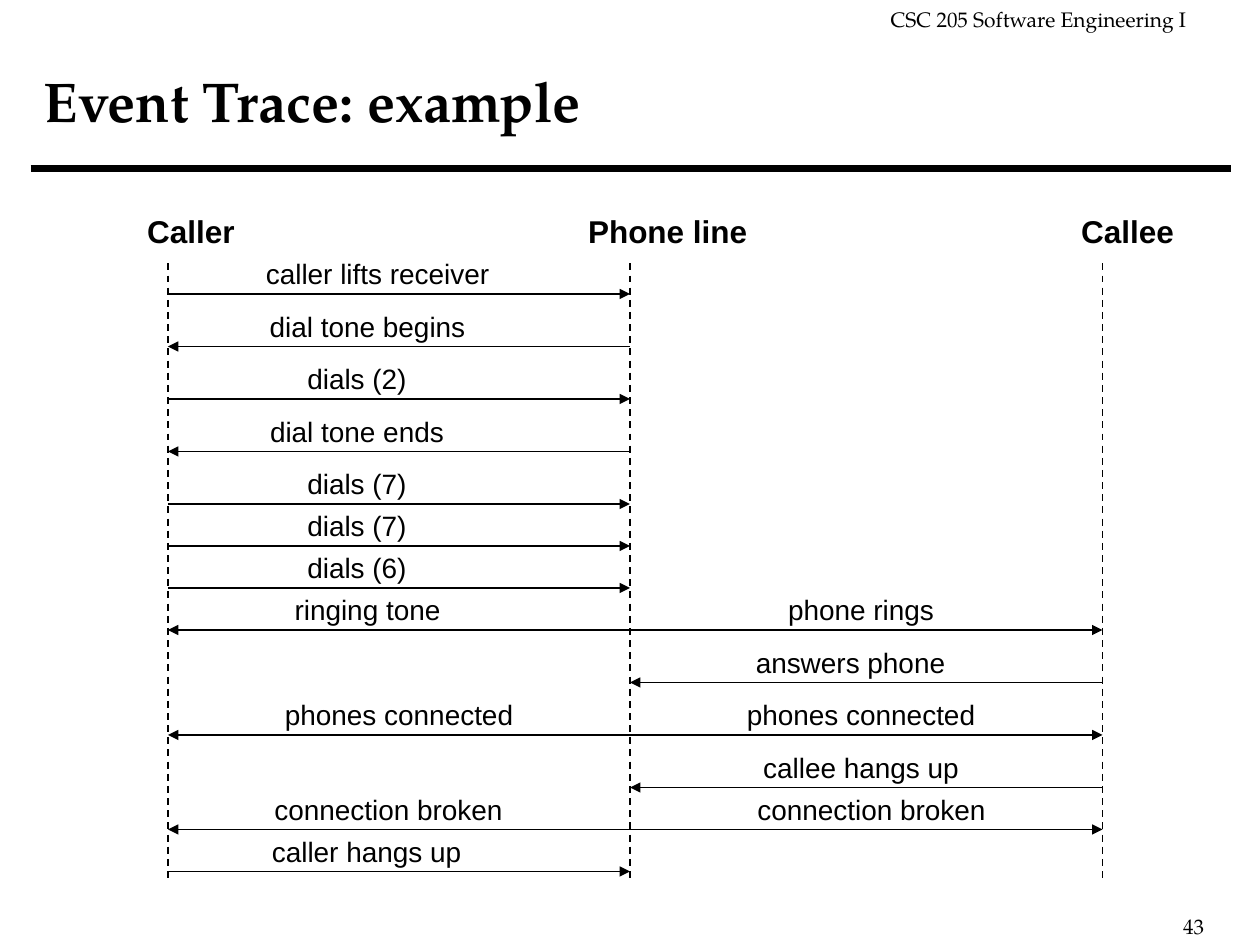
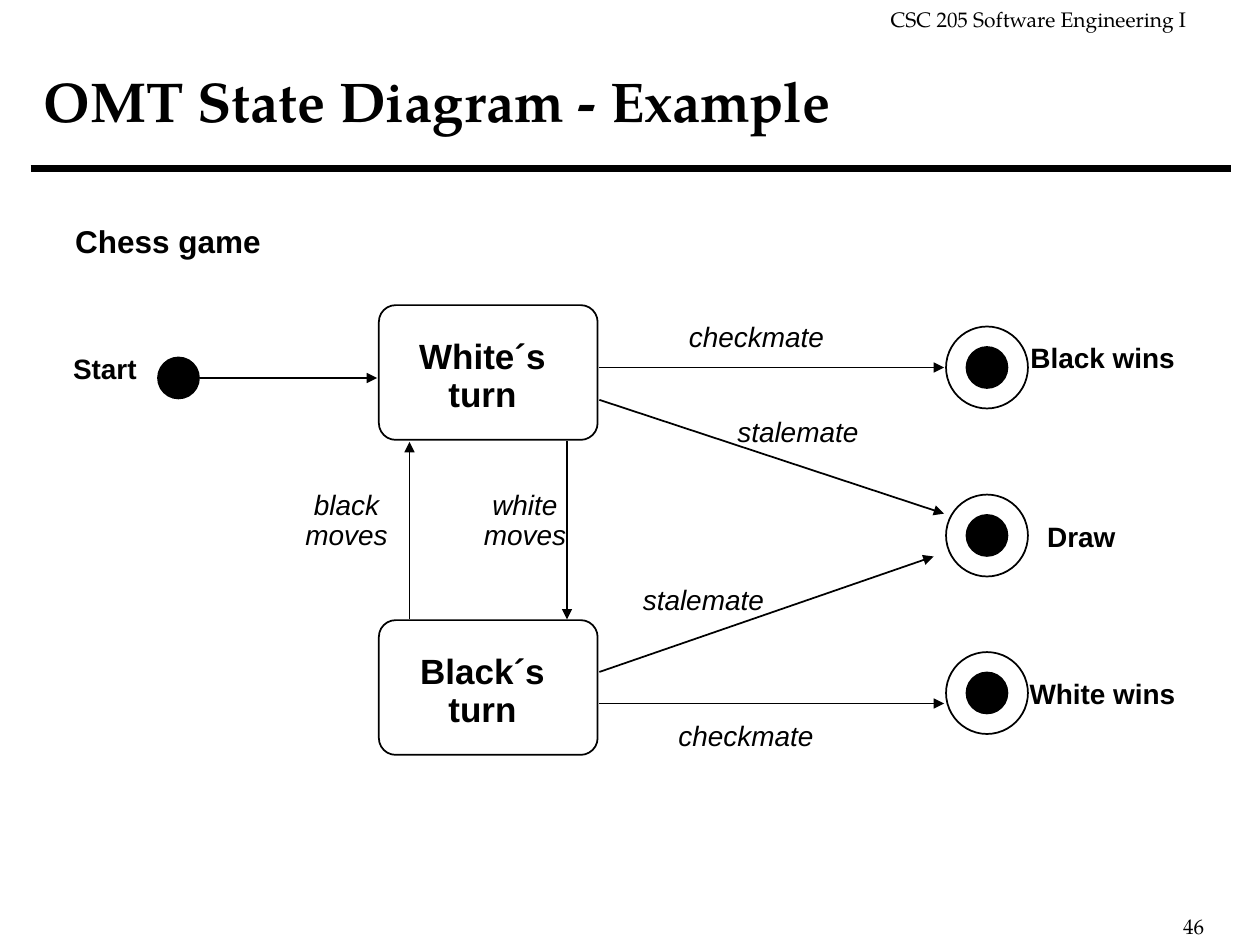
from typing import NamedTuple

from lxml import etree
from pptx import Presentation
from pptx.dml import color as dml_color
from pptx.enum import dml, shapes, text
from pptx.oxml import ns
from pptx.util import Pt

COLORS = {"ink": "000000", "paper": "FFFFFF"}
SERIF, SANS = "TeX Gyre Pagella", "Arial"
COURSE = "CSC 205 Software Engineering I"
SLACK = 8  # spare label width that keeps each line unbroken


class Label(NamedTuple):
    content: str
    left: float
    top: float
    width: float
    size: float = 16
    bold: bool = False
    italic: bool = False
    centered: bool = True
    font: str = SANS
    spacing: float = 0.9


class Arrow(NamedTuple):
    start: tuple[float, float]
    end: tuple[float, float]


class Message(NamedTuple):
    step: float  # distance below the preceding message
    content: str
    sender: str
    receiver: str
    center: float
    width: float


class FinalState(NamedTuple):
    y: float
    label: Label


def rgb(name: str) -> dml_color.RGBColor:
    return dml_color.RGBColor.from_string(COLORS[name])


def draw_label(slide, label: Label):
    lines = label.content.split("\n")
    height = 7.2 + len(lines) * label.size * 1.2 * label.spacing
    left = label.left - SLACK / 2 if label.centered else label.left
    box = slide.shapes.add_textbox(Pt(left), Pt(label.top), Pt(label.width + SLACK), Pt(height))
    frame = box.text_frame
    frame.text = label.content
    frame.word_wrap = False
    frame.auto_size = text.MSO_AUTO_SIZE.NONE
    for paragraph in frame.paragraphs:
        paragraph.alignment = text.PP_ALIGN.CENTER if label.centered else text.PP_ALIGN.LEFT
        paragraph.line_spacing = label.spacing
        font = paragraph.font
        font.name, font.size = label.font, Pt(label.size)
        font.bold, font.italic = label.bold, label.italic
        font.color.rgb = rgb("ink")
    return box


def draw_line(slide, start: tuple[float, float], end: tuple[float, float], width: float = 1,
              dashed: bool = False, arrowhead: bool = False) -> None:
    connector = slide.shapes.add_connector(
        shapes.MSO_CONNECTOR.STRAIGHT, *(Pt(value) for value in start + end))
    line = connector.line
    line.color.rgb = rgb("ink")
    line.width = Pt(width)
    if dashed:
        line.dash_style = dml.MSO_LINE.DASH
    properties = connector._element.spPr
    if arrowhead:
        etree.SubElement(properties.find(ns.qn("a:ln")), ns.qn("a:tailEnd"), type="triangle")
    etree.SubElement(properties, ns.qn("a:effectLst"))


def draw_shape(slide, kind, left: float, top: float, width: float, height: float,
               filled: bool = False):
    shape = slide.shapes.add_shape(kind, Pt(left), Pt(top), Pt(width), Pt(height))
    shape.shadow.inherit = False
    shape.line.color.rgb = rgb("ink")
    shape.line.width = Pt(1)
    if filled:
        shape.fill.solid()
        shape.fill.fore_color.rgb = rgb("ink")
    else:
        shape.fill.background()
    return shape


def draw_circle(slide, x: float, y: float, diameter: float, filled: bool = False) -> None:
    draw_shape(slide, shapes.MSO_SHAPE.OVAL, x - diameter / 2, y - diameter / 2,
               diameter, diameter, filled)


def add_slide(presentation, title: str, number: int):
    """Add a slide with the course header, page number, rule and title."""
    slide = presentation.slides.add_slide(presentation.slide_layouts[6])
    header = draw_label(slide, Label(COURSE, 501.8, 0, 183.6, 12, centered=False,
                                     font=SERIF, spacing=1))
    header.fill.solid()
    header.fill.fore_color.rgb = rgb("paper")
    draw_label(slide, Label(str(number), 669, 518.4, 30, 12, centered=False,
                            font=SERIF, spacing=1))
    draw_line(slide, (17.5, 96.2), (703.5, 96.2), width=4)
    heading = draw_label(slide, Label(title, 18, 12, 682, 32, bold=True, centered=False,
                                      font=SERIF, spacing=1))
    heading.height = Pt(90)
    heading.text_frame.word_wrap = True
    heading.text_frame.vertical_anchor = text.MSO_ANCHOR.MIDDLE
    return slide


# Event trace
LIFELINES = {"Caller": 96, "Phone line": 360, "Callee": 630}
HEADINGS = [
    Label("Caller", 77, 120, 64, 18, bold=True, centered=False),
    Label("Phone line", 329, 120, 105, 18, bold=True, centered=False),
    Label("Callee", 610.7, 120, 67.5, 18, bold=True, centered=False),
]
FIRST_MESSAGE_Y = 168
MESSAGES = [
    Message(0, "caller lifts receiver", "Caller", "Phone line", 215.8, 142),
    Message(30, "dial tone begins", "Phone line", "Caller", 210, 126),
    Message(30, "dials (2)", "Caller", "Phone line", 204, 71),
    Message(30, "dial tone ends", "Phone line", "Caller", 204, 114),
    Message(30, "dials (7)", "Caller", "Phone line", 204, 71),
    Message(24, "dials (7)", "Caller", "Phone line", 204, 71),
    Message(24, "dials (6)", "Caller", "Phone line", 204, 71),
    Message(24, "ringing tone", "Phone line", "Caller", 210, 98),
    Message(0, "phone rings", "Phone line", "Callee", 492, 98),
    Message(30, "answers phone", "Callee", "Phone line", 486, 122),
    Message(30, "phones connected", "Phone line", "Caller", 228, 145),
    Message(0, "phones connected", "Phone line", "Callee", 492, 145),
    Message(30, "callee hangs up", "Callee", "Phone line", 492, 126),
    Message(24, "connection broken", "Phone line", "Caller", 222, 145),
    Message(0, "connection broken", "Phone line", "Callee", 498, 145),
    Message(24, "caller hangs up", "Caller", "Phone line", 209.5, 122),
]


def build_event_trace(presentation) -> None:
    slide = add_slide(presentation, "Event Trace: example", 43)
    for x in LIFELINES.values():
        draw_line(slide, (x, 150.5), (x, 503), dashed=True)
    for heading in HEADINGS:
        draw_label(slide, heading)
    y = FIRST_MESSAGE_Y
    for message in MESSAGES:
        y += message.step
        draw_line(slide, (LIFELINES[message.sender], y), (LIFELINES[message.receiver], y),
                  arrowhead=True)
        draw_label(slide, Label(message.content, message.center - message.width / 2,
                                y - 22.6, message.width))


# State diagram
START_X, START_Y = 102, 216
FINAL_X = 564
DOT, RING = 23.4, 46.8
STATE_LEFT, STATE_WIDTH, STATE_HEIGHT = 216.5, 125, 77
STATES = {
    174.4: Label("White´s\nturn", 232.5, 190.4, 86.4, 20, bold=True),
    354.4: Label("Black´s\nturn", 232.5, 370.4, 86.4, 20, bold=True),
}
FINAL_STATES = [
    FinalState(210, Label("Black wins", 581.8, 193.5, 96.5, bold=True)),
    FinalState(306, Label("Draw", 591.2, 295.5, 53.5, bold=True)),
    FinalState(396, Label("White wins", 581, 385.5, 98, bold=True)),
]
TRANSITIONS = [
    Arrow((114.5, 216), (215.5, 216)),
    Arrow((234, 353.5), (234, 252.5)),
    Arrow((324, 252), (324, 354)),
    Arrow((342.5, 210), (539.5, 210)),
    Arrow((342.5, 402), (539.5, 402)),
    Arrow((342.5, 228.5), (539.5, 293.5)),
    Arrow((342.5, 384), (533.5, 318)),
]
DIAGRAM_LABELS = [
    Label("Chess game", 36, 126, 120, 18, bold=True),
    Label("Start", 34.7, 199.5, 50.5, bold=True),
    Label("black\nmoves", 167.5, 277, 61, italic=True),
    Label("white\nmoves", 269.5, 277, 61, italic=True),
    Label("checkmate", 386.5, 181.5, 91.5, italic=True),
    Label("checkmate", 380.5, 409.5, 91.5, italic=True),
    Label("stalemate", 414.2, 235.5, 83.5, italic=True),
    Label("stalemate", 360.2, 331.5, 83.5, italic=True),
]


def build_state_diagram(presentation) -> None:
    slide = add_slide(presentation, "OMT State Diagram - Example", 46)
    draw_circle(slide, START_X, START_Y, DOT, filled=True)
    for top, label in STATES.items():
        state = draw_shape(slide, shapes.MSO_SHAPE.ROUNDED_RECTANGLE,
                           STATE_LEFT, top, STATE_WIDTH, STATE_HEIGHT)
        state.adjustments[0] = 0.125
        draw_label(slide, label)
    for final in FINAL_STATES:
        draw_circle(slide, FINAL_X, final.y, DOT, filled=True)
        draw_circle(slide, FINAL_X, final.y, RING)
        draw_label(slide, final.label)
    for arrow in TRANSITIONS:
        draw_line(slide, arrow.start, arrow.end, arrowhead=True)
    for label in DIAGRAM_LABELS:
        draw_label(slide, label)


def main() -> None:
    presentation = Presentation()
    presentation.slide_width, presentation.slide_height = Pt(720), Pt(540)
    build_event_trace(presentation)
    build_state_diagram(presentation)
    presentation.save("out.pptx")


if __name__ == "__main__":
    main()
